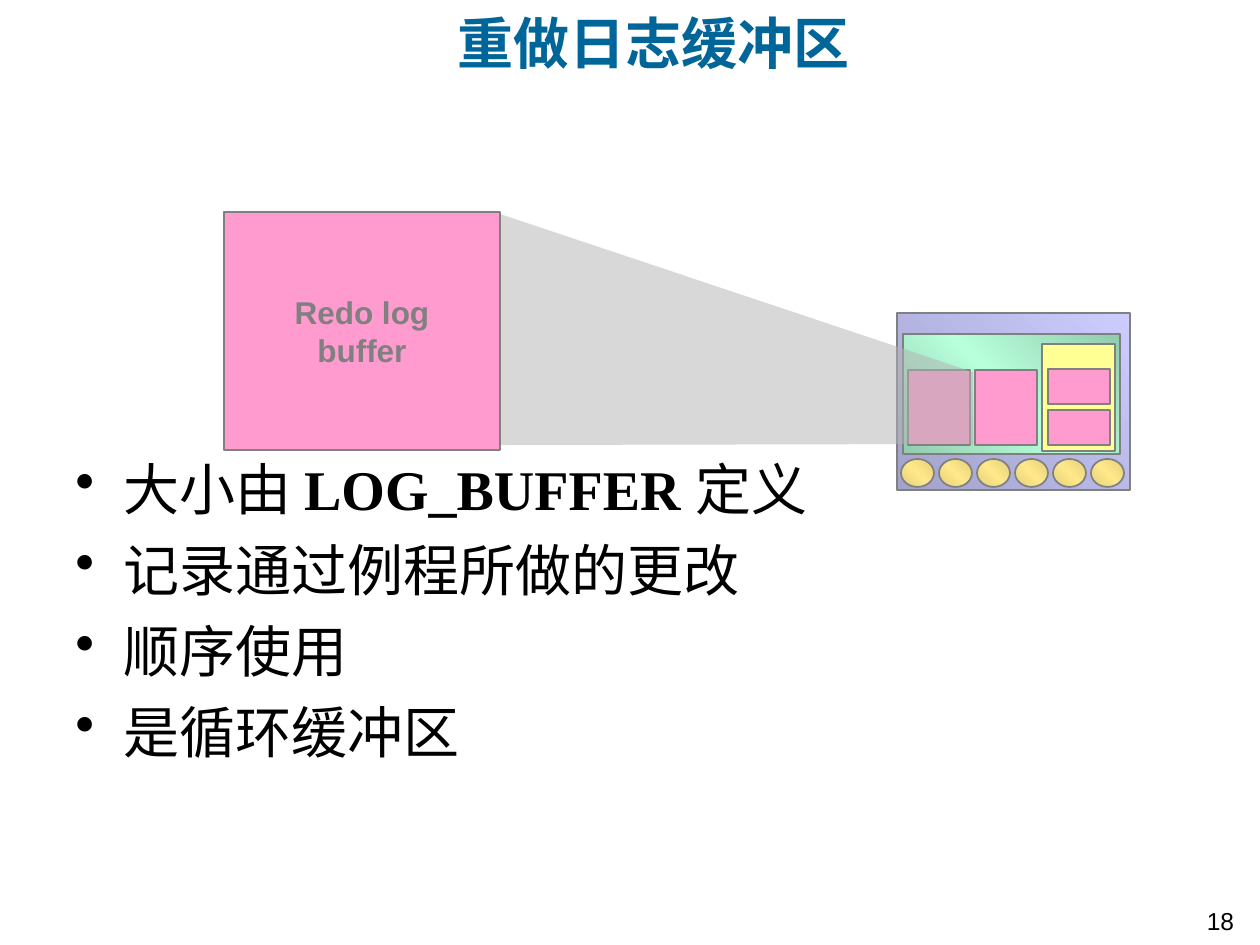
from copy import deepcopy

from pptx import Presentation
from pptx.dml.color import RGBColor
from pptx.enum.shapes import MSO_SHAPE
from pptx.enum.text import MSO_ANCHOR, PP_ALIGN
from pptx.oxml.ns import qn
from pptx.oxml.xmlchemy import OxmlElement
from pptx.util import Emu, Pt

BLACK = RGBColor(0x00, 0x00, 0x00)
TEAL = RGBColor(0x00, 0x66, 0x99)
GRAY = RGBColor(0x80, 0x80, 0x80)
SILVER = RGBColor(0xB2, 0xB2, 0xB2)
PINK = RGBColor(0xFF, 0x9B, 0xCE)
YELLOW = RGBColor(0xFF, 0xFF, 0x93)
LILAC = RGBColor(0xCC, 0xCC, 0xFF)
DARK_LILAC = RGBColor(0xA2, 0xA2, 0xCB)
MINT = RGBColor(0xB8, 0xFF, 0xDB)
DARK_MINT = RGBColor(0x92, 0xCB, 0xAE)
GOLD = RGBColor(0xFF, 0xE8, 0x8A)
DARK_GOLD = RGBColor(0xE4, 0xCF, 0x7B)
SANS, SERIF = "Arial", "Times New Roman"


def px(n):
    return Emu(round(n * 914400 / 126))


class Deck:
    """Draws styled elements on the current slide, with lengths in px."""

    def __init__(self, prs):
        self.s = prs.slides.add_slide(prs.slide_layouts[5])

    def place(self, sp, x, y, w, h):
        sp.left, sp.top, sp.width, sp.height = px(x), px(y), px(w), px(h)

    def font(self, r, size, name, color, bold=False):
        r.font.size, r.font.name, r.font.bold = Pt(size), name, bold
        r.font.color.rgb = color

    def title(self, text, x, y, w, h, indent):
        sp = self.s.shapes.title
        self.place(sp, x, y, w, h)
        tf = sp.text_frame
        tf.text = text
        tf.margin_left = px(indent)
        tf.vertical_anchor = MSO_ANCHOR.MIDDLE
        p = tf.paragraphs[0]
        p.alignment = PP_ALIGN.LEFT
        self.font(p.runs[0], 32, SANS, TEAL, True)

    def bullets(self, items, x, y, w, h):
        tf = self.s.shapes.add_textbox(px(x), px(y), px(w), px(h)).text_frame
        tf.word_wrap = True
        for i, parts in enumerate(items):
            p = tf.add_paragraph() if i else tf.paragraphs[0]
            p.space_before = Pt(8)
            pPr = p._p.get_or_add_pPr()
            pPr.set("marL", str(px(48)))
            pPr.set("indent", str(-px(48)))
            bu = OxmlElement("a:buChar")
            bu.set("char", "•")
            pPr.append(bu)
            for j, part in enumerate(parts):
                r = p.add_run()
                r.text = part
                self.font(r, 32, SERIF, BLACK, j == 1)

    def page_number(self, text, x, y, w, h):
        tf = self.s.shapes.add_textbox(px(x), px(y), px(w), px(h)).text_frame
        tf.text = text
        p = tf.paragraphs[0]
        p.alignment = PP_ALIGN.CENTER
        self.font(p.runs[0], 14, SANS, BLACK)

    def shape(self, x, y, w, h, *colors, kind=MSO_SHAPE.RECTANGLE):
        sp = self.s.shapes.add_shape(kind, px(x), px(y), px(w), px(h))
        sp.shadow.inherit = False
        sp.line.color.rgb, sp.line.width = GRAY, Pt(1)
        if len(colors) == 1:
            sp.fill.solid()
            sp.fill.fore_color.rgb = colors[0]
        else:
            self.gradient(sp, colors)
        return sp

    def gradient(self, sp, colors):
        sp.fill.gradient()
        sp.fill.gradient_angle = 225
        stops = sp._element.spPr.find(qn("a:gradFill")).find(qn("a:gsLst"))
        while len(stops) < len(colors):
            stops.append(deepcopy(stops[0]))
        for i, (stop, color) in enumerate(zip(sp.fill.gradient_stops, colors)):
            stop.position = i / (len(colors) - 1)
            stop.color.rgb = color

    def beam(self, points, color, opacity):
        fb = self.s.shapes.build_freeform(*points[0], scale=914400 / 126)
        fb.add_line_segments(points[1:], close=True)
        sp = fb.convert_to_shape()
        sp.shadow.inherit = False
        sp.line.fill.background()
        sp.fill.solid()
        sp.fill.fore_color.rgb = color
        alpha = OxmlElement("a:alpha")
        alpha.set("val", str(opacity * 1000))
        sp._element.spPr.find(qn("a:solidFill"))[0].append(alpha)

    def label(self, sp, lines):
        tf = sp.text_frame
        tf.text = "\n".join(lines)
        tf.word_wrap = False
        tf.vertical_anchor = MSO_ANCHOR.MIDDLE
        for p in tf.paragraphs:
            p.alignment = PP_ALIGN.CENTER
            self.font(p.runs[0], 18, SANS, GRAY, True)
        tf.paragraphs[0].space_before = Pt(11.2)


def main():
    prs = Presentation()
    prs.slide_width, prs.slide_height = px(1260), px(945)
    d = Deck(prs)
    d.page_number("18", 1152, 900, 137, 43)
    d.title("重做日志缓冲区", 189, 0, 1071, 84, 268)
    d.bullets([["大小由 ", "LOG_BUFFER ", "定义"], ["记录通过例程所做的更改"],
               ["顺序使用"], ["是循环缓冲区"]], 63, 448, 1134, 396)

    d.shape(897, 313, 233, 177, LILAC, DARK_LILAC)
    d.shape(903, 334, 217, 120, DARK_MINT, MINT, DARK_MINT)
    for x in (908, 975):
        d.shape(x, 370, 62, 75, PINK)
    d.shape(1042, 344, 73, 107, YELLOW)
    for y in (369, 410):
        d.shape(1048, y, 62, 35, PINK)
    for i in range(6):
        d.shape(901 + 38 * i, 459, 33, 28, DARK_GOLD, GOLD, DARK_GOLD,
                kind=MSO_SHAPE.OVAL)

    d.beam([(494, 212), (973, 372), (973, 444), (501, 445)], SILVER, 50)
    d.label(d.shape(224, 212, 276, 238, PINK), ["Redo log", "buffer"])
    prs.save("out.pptx")


if __name__ == "__main__":
    main()
